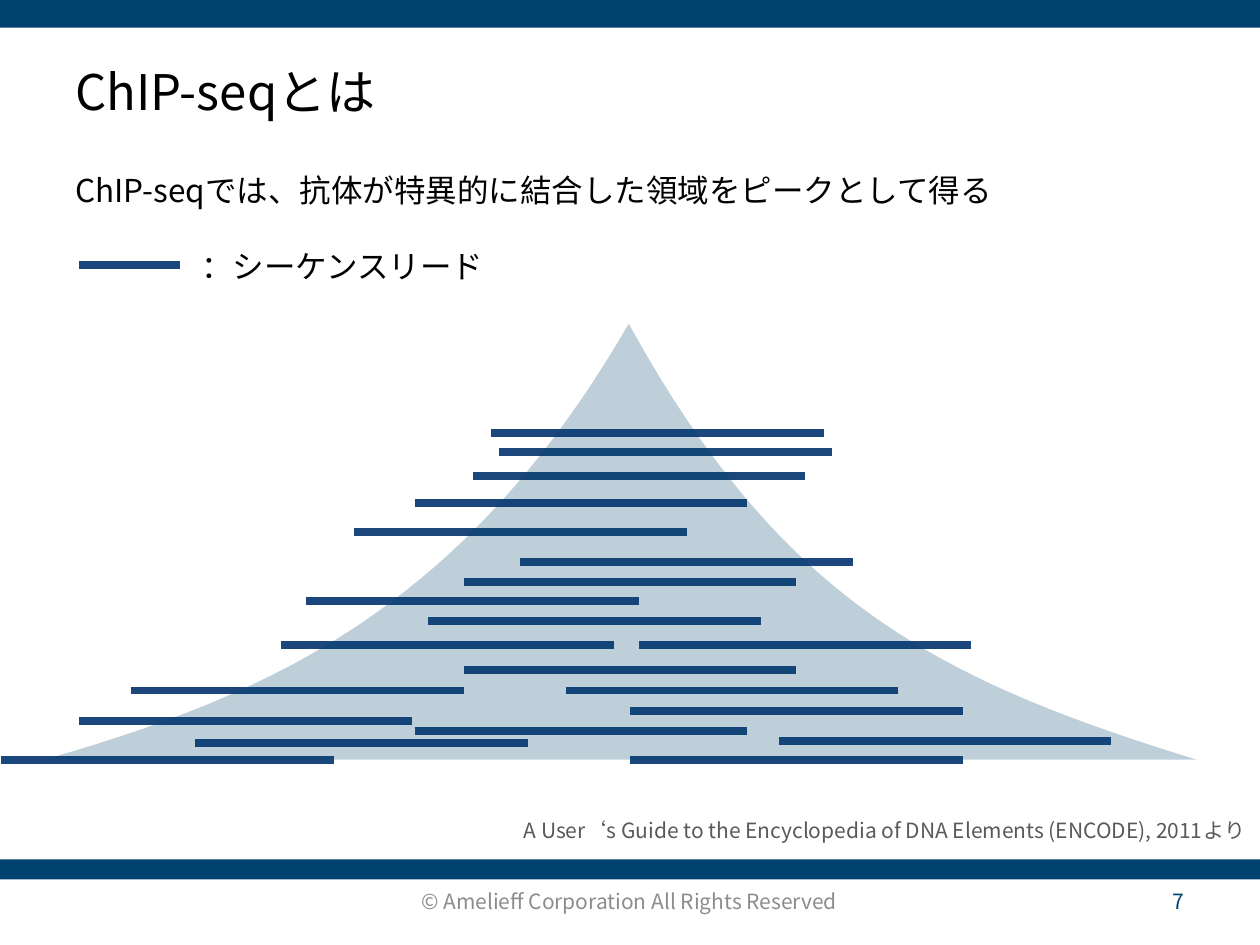
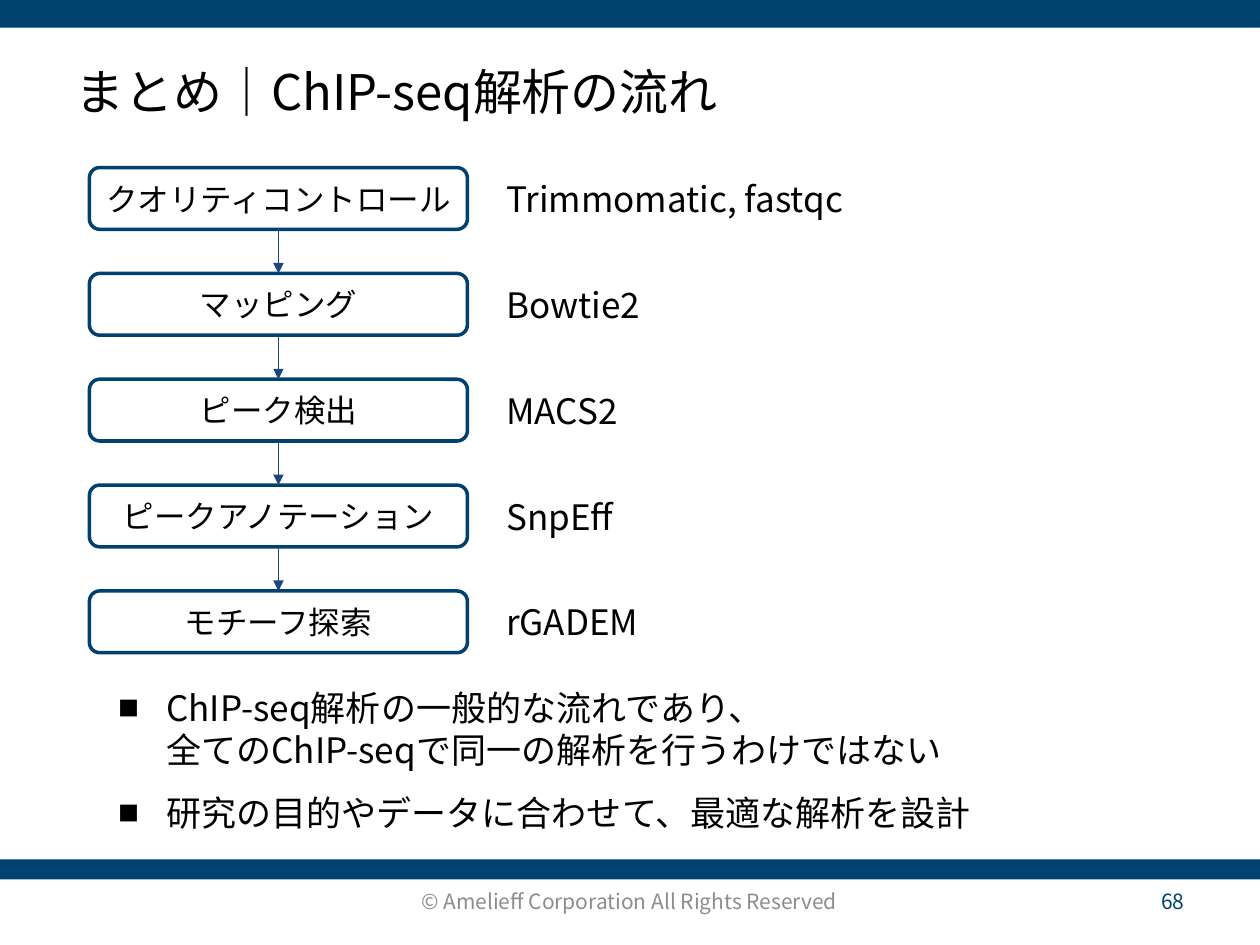
from lxml.etree import SubElement
from pptx import Presentation
from pptx.dml.color import RGBColor
from pptx.enum.shapes import MSO_CONNECTOR, MSO_SHAPE
from pptx.enum.text import MSO_ANCHOR, MSO_AUTO_SIZE, PP_ALIGN
from pptx.oxml.ns import qn
from pptx.util import Inches, Pt

FONT = "Noto Sans CJK JP"
NAVY, READ_BLUE = "00416F", "1C477D"
BLACK, GRAY, LIGHT_GRAY = "000000", "595959", "8C8C8C"
COPYRIGHT = "© Amelieff Corporation All Rights Reserved"
LINE_HEIGHT = 1.2  # line pitch relative to the text size

READ_LENGTH = 2.64
READ_STARTS = [
    (3.9, 3.44), (3.96, 3.59), (3.75, 3.78), (3.29, 3.99), (2.81, 4.22),
    (4.13, 4.46), (3.68, 4.62), (2.43, 4.77), (3.4, 4.93), (2.23, 5.12),
    (5.07, 5.12), (3.68, 5.32), (1.04, 5.48), (4.49, 5.48), (5, 5.64),
    (0.63, 5.72), (3.29, 5.8), (6.18, 5.88), (1.55, 5.9), (0.01, 6.03),
    (5, 6.03),
]
LEFT_SLOPE = [(0.35, 6.03), (2.2, 5.5), (3.7, 4.8), (4.99, 2.57)]
RIGHT_SLOPE = [(4.99, 2.57), (6.19, 4.75), (7.41, 5.39), (9.5, 6.03)]

STEPS = [
    ("クオリティコントロール", "Trimmomatic, fastqc"),
    ("マッピング", "Bowtie2"),
    ("ピーク検出", "MACS2"),
    ("ピークアノテーション", "SnpEff"),
    ("モチーフ探索", "rGADEM"),
]
NOTES = [
    ("ChIP-seq解析の一般的な流れであり、\v全てのChIP-seqで同一の解析を行うわけではない", 1),
    ("研究の目的やデータに合わせて、最適な解析を設計", 1.5),
]


def rgb(color):
    return RGBColor.from_string(color)


def box_inches(left, top, width, height):
    return Inches(left), Inches(top), Inches(width), Inches(height)


def style_paragraph(paragraph, size, color=BLACK, align=PP_ALIGN.LEFT, spacing=1):
    paragraph.alignment = align
    paragraph.line_spacing = Pt(size * LINE_HEIGHT * spacing)
    paragraph.space_before = Pt(0)
    font = paragraph.font
    font.size = Pt(size)
    font.color.rgb = rgb(color)
    font.name = FONT
    # East Asian characters take their own typeface
    defaults = paragraph._p.pPr.find(qn("a:defRPr"))
    SubElement(defaults, qn("a:ea"), typeface=FONT)


def add_text(slide, text, place, size, color=BLACK, align=PP_ALIGN.LEFT,
             anchor=MSO_ANCHOR.TOP):
    frame = slide.shapes.add_textbox(*box_inches(*place)).text_frame
    frame.word_wrap = True
    frame.vertical_anchor = anchor
    frame.text = text
    style_paragraph(frame.paragraphs[0], size, color, align)
    return frame


def add_band(slide, top, height):
    band = slide.shapes.add_shape(MSO_SHAPE.RECTANGLE, *box_inches(0, top, 10, height))
    band.shadow.inherit = False
    band.fill.solid()
    band.fill.fore_color.rgb = rgb(NAVY)
    band.line.fill.background()


def place_placeholder(placeholder, place, anchor):
    placeholder.left, placeholder.top, placeholder.width, placeholder.height = box_inches(*place)
    frame = placeholder.text_frame
    frame.auto_size = MSO_AUTO_SIZE.NONE
    frame.vertical_anchor = anchor
    return frame


def add_slide(prs, layout, title, number):
    slide = prs.slides.add_slide(prs.slide_layouts[layout])
    add_band(slide, 6.82, 0.16)
    add_band(slide, 0, 0.22)
    add_text(slide, COPYRIGHT, (2.87, 6.95, 4.25, 0.4), 12, LIGHT_GRAY,
             PP_ALIGN.CENTER, MSO_ANCHOR.MIDDLE)
    add_text(slide, str(number), (7.17, 6.95, 2.33, 0.4), 12, NAVY,
             PP_ALIGN.RIGHT, MSO_ANCHOR.MIDDLE)
    frame = place_placeholder(slide.shapes.title, (0.5, 0.3, 9, 0.85), MSO_ANCHOR.MIDDLE)
    frame.text = title
    style_paragraph(frame.paragraphs[0], 28)
    return slide


def add_line(slide, start, end, width):
    line = slide.shapes.add_connector(
        MSO_CONNECTOR.STRAIGHT, *(Inches(v) for v in (*start, *end)))
    line.line.color.rgb = rgb(READ_BLUE)
    line.line.width = Pt(width)
    SubElement(line._element.spPr, qn("a:effectLst"))
    return line


def add_read(slide, left, top, length=READ_LENGTH):
    add_line(slide, (left, top), (left + length, top), 4.5)


def add_arrow(slide, upper, lower):
    arrow = add_line(slide, (0, 0), (1, 1), 0.75)
    arrow.begin_connect(upper, 2)
    arrow.end_connect(lower, 0)
    SubElement(arrow.line._get_or_add_ln(), qn("a:tailEnd"), type="triangle")


def curve_points(controls, count=40):
    """Points along a cubic Bézier curve given in inches."""
    for i in range(count + 1):
        t = i / count
        weights = ((1 - t) ** 3, 3 * t * (1 - t) ** 2, 3 * t ** 2 * (1 - t), t ** 3)
        yield tuple(Inches(sum(w * point[axis] for w, point in zip(weights, controls)))
                    for axis in (0, 1))


def add_peak(slide):
    outline = [*curve_points(LEFT_SLOPE), *curve_points(RIGHT_SLOPE)]
    builder = slide.shapes.build_freeform(*outline[0])
    builder.add_line_segments(outline[1:], close=True)
    peak = builder.convert_to_shape()
    peak.shadow.inherit = False
    peak.fill.solid()
    peak.fill.fore_color.rgb = rgb(NAVY)
    peak.line.fill.background()
    color = peak._element.spPr.find(qn("a:solidFill")).find(qn("a:srgbClr"))
    SubElement(color, qn("a:alpha"), val="25000")


def add_step(slide, text, top):
    step = slide.shapes.add_shape(MSO_SHAPE.ROUNDED_RECTANGLE, *box_inches(0.71, top, 3, 0.49))
    step.shadow.inherit = False
    step.fill.background()
    step.line.color.rgb = rgb(NAVY)
    step.line.width = Pt(2)
    frame = step.text_frame
    frame.word_wrap = False
    frame.vertical_anchor = MSO_ANCHOR.MIDDLE
    frame.text = text
    style_paragraph(frame.paragraphs[0], 18, align=PP_ALIGN.CENTER)
    return step


def add_square_bullet(paragraph):
    properties = paragraph._p.get_or_add_pPr()
    properties.set("marL", str(Inches(0.38)))
    properties.set("indent", str(-Inches(0.38)))
    SubElement(properties, qn("a:buSzPct"), val="60000")
    SubElement(properties, qn("a:buFont"), typeface=FONT)
    SubElement(properties, qn("a:buChar"), char="■")


def build_peak_slide(prs):
    slide = add_slide(prs, 5, "ChIP-seqとは", 7)
    add_text(slide, "A User‘s Guide to the Encyclopedia of DNA Elements (ENCODE), 2011より",
             (1.95, 6.44, 8.03, 0.3), 12, GRAY, PP_ALIGN.RIGHT)

    # Statement and legend
    frame = add_text(slide, "ChIP-seqでは、抗体が特異的に結合した領域をピークとして得る",
                     (0.5, 1.31, 9, 1.01), 18)
    legend = frame.add_paragraph()
    legend.text = "：シーケンスリード"
    legend._p.get_or_add_pPr().set("marL", str(Inches(1)))
    style_paragraph(legend, 18)
    legend.space_before = Pt(18 * LINE_HEIGHT)
    add_read(slide, 0.63, 2.1, 0.8)

    # Reads piled up under the peak
    for left, top in READ_STARTS:
        add_read(slide, left, top)
    add_peak(slide)


def build_summary_slide(prs):
    slide = add_slide(prs, 1, "まとめ｜ChIP-seq解析の流れ", 68)

    # Analysis steps with their tools
    previous = None
    for i, (name, tool) in enumerate(STEPS):
        top = 1.33 + 0.84 * i
        step = add_step(slide, name, top)
        add_text(slide, tool, (3.92, top + 0.03, 5.48, 0.44), 20)
        if previous is not None:
            add_arrow(slide, previous, step)
        previous = step

    # Closing notes
    frame = place_placeholder(slide.placeholders[1], (0.84, 5.4, 8.33, 1.28), MSO_ANCHOR.TOP)
    for i, (note, spacing) in enumerate(NOTES):
        paragraph = frame.add_paragraph() if i else frame.paragraphs[0]
        paragraph.text = note
        add_square_bullet(paragraph)
        style_paragraph(paragraph, 20, spacing=spacing)


def main():
    prs = Presentation()
    prs.slide_width, prs.slide_height = Inches(10), Inches(7.5)
    build_peak_slide(prs)
    build_summary_slide(prs)
    prs.save("out.pptx")


if __name__ == "__main__":
    main()
